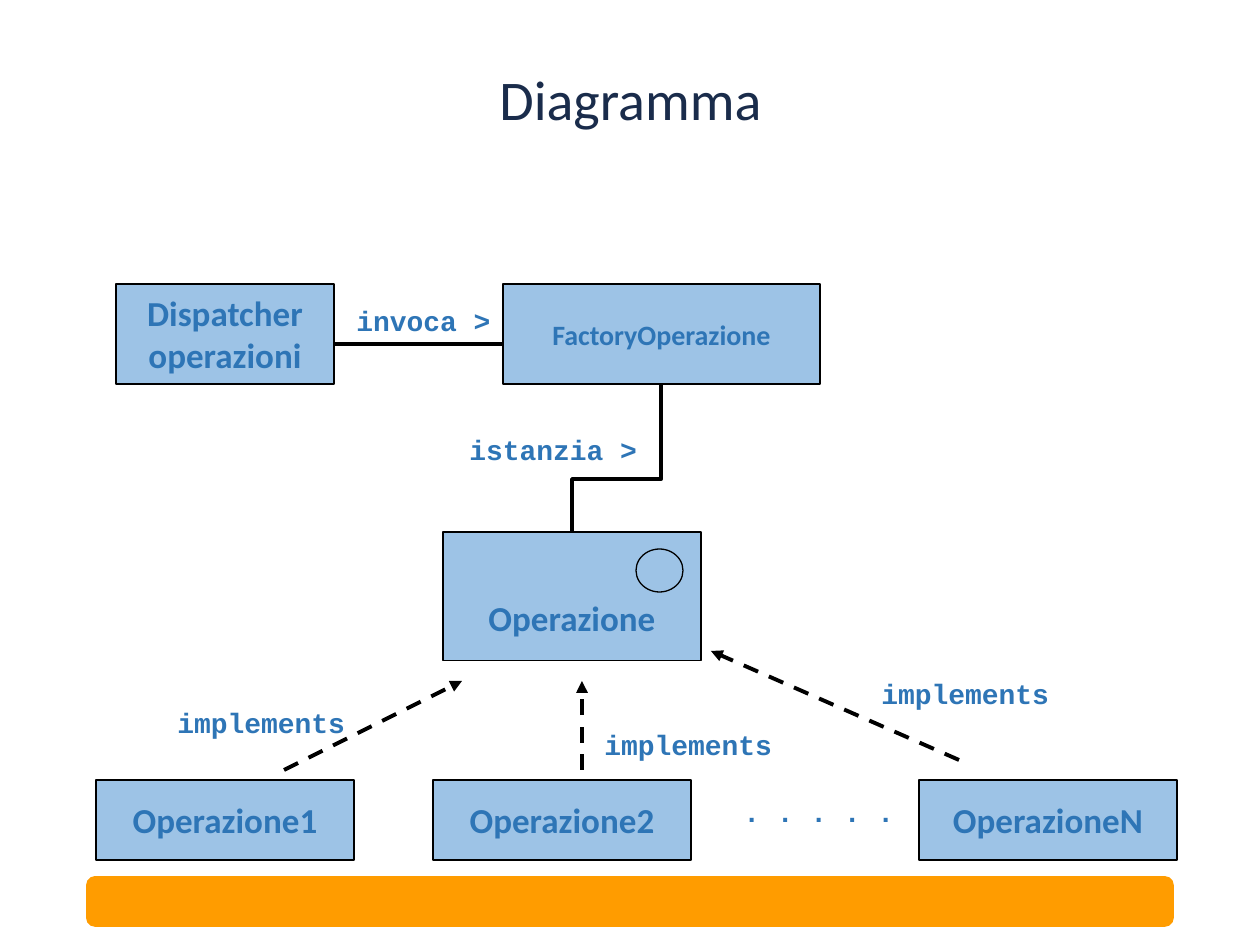
from lxml import etree
from pptx import Presentation
from pptx import util as u
from pptx.dml.color import RGBColor
from pptx.enum import dml, shapes, text
from pptx.oxml.ns import qn

SCALE = 914400 / 126
NAVY = RGBColor(0x1A, 0x2C, 0x4B)
BLUE = RGBColor(0x2E, 0x75, 0xB6)
LIGHT_BLUE = RGBColor(0x9D, 0xC3, 0xE6)
ORANGE = RGBColor(0xFF, 0x9C, 0x00)
BLACK = RGBColor(0, 0, 0)

TITLE = ("Diagramma", (386, 15, 489, 175))
FOOTER_BAR = (87, 877, 1086, 49)
INTERFACE_CIRCLE = (636, 549, 47, 43)
BOXES = [
    (["Dispatcher", "operazioni"], (116, 284, 218, 100), 20, 6),
    (["FactoryOperazione"], (503, 284, 317, 100), 16, 6),
    (["Operazione"], (443, 532, 258, 129), 20, 49),
]
IMPLEMENTATIONS = [("Operazione1", 96), ("Operazione2", 433), ("OperazioneN", 919)]
BOXES += [([name], (left, 780, 258, 80), 20, 6) for name, left in IMPLEMENTATIONS]
LABELS = [
    (". . . . .", 731, 788, 178),
    ("implements", 165, 699, 194),
    ("implements", 592, 721, 194),
    ("implements", 869, 670, 194),
    ("invoca >", 344, 297, 160),
    ("istanzia >", 457, 426, 194),
]
LABEL_HEIGHT = 47
IMPLEMENTS_ARROWS = [(284, 770, 462, 681), (582, 770, 582, 681), (959, 760, 711, 651)]
INVOKES_LINE = (334, 344, 503, 344)
CREATES_LINE = (661, 384, 572, 532)
CREATES_BEND = 64300


def emu(*pixels):
    return [u.Emu(round(pixel * SCALE)) for pixel in pixels]


def apply(target, values):
    for name, value in values.items():
        setattr(target, name, value)


def write(frame, lines, font, size, color, bold, align, **frame_values):
    apply(frame, {"vertical_anchor": text.MSO_ANCHOR.MIDDLE, **frame_values})
    for index, line in enumerate(lines):
        paragraph = frame.paragraphs[0] if index == 0 else frame.add_paragraph()
        paragraph.alignment = align
        run = paragraph.add_run()
        run.text = line
        apply(run.font, {"name": font, "size": u.Pt(size), "bold": bold})
        run.font.color.rgb = color


def add_block(kind, place, fill, line, width):
    shape = slide.shapes.add_shape(kind, *emu(*place))
    shape.shadow.inherit = False
    shape.fill.solid()
    shape.fill.fore_color.rgb = fill
    shape.line.color.rgb = line
    shape.line.width = u.Pt(width)
    return shape


def add_line(kind, ends):
    connector = slide.shapes.add_connector(kind, *emu(*ends))
    connector.line.color.rgb = BLACK
    connector.line.width = u.Pt(2.25)
    etree.SubElement(connector._element.spPr, qn("a:effectLst"))
    return connector


def add_arrow(ends):
    connector = add_line(shapes.MSO_CONNECTOR.STRAIGHT, ends)
    connector.line.dash_style = dml.MSO_LINE.DASH
    line = connector._element.spPr.find(qn("a:ln"))
    etree.SubElement(line, qn("a:tailEnd"), type="triangle")


def add_vertical_elbow(ends, bend):
    x1, y1, x2, y2 = ends
    center_x, center_y = (x1 + x2) / 2, (y1 + y2) / 2
    half_run, half_shift = (y2 - y1) / 2, (x1 - x2) / 2
    connector = add_line(shapes.MSO_CONNECTOR.ELBOW, (
        center_x - half_run, center_y - half_shift,
        center_x + half_run, center_y + half_shift))
    properties = connector._element.spPr
    properties.find(qn("a:xfrm")).set("rot", "5400000")
    geometry = properties.find(qn("a:prstGeom"))
    adjustments = geometry.find(qn("a:avLst"))
    if adjustments is None:
        adjustments = etree.SubElement(geometry, qn("a:avLst"))
    etree.SubElement(adjustments, qn("a:gd"), name="adj1", fmla=f"val {bend}")


presentation = Presentation()
apply(presentation, {"slide_width": u.Inches(10), "slide_height": u.Inches(7.5)})
slide = presentation.slides.add_slide(presentation.slide_layouts[5])

add_block(shapes.MSO_SHAPE.ROUNDED_RECTANGLE, FOOTER_BAR, ORANGE, ORANGE, 1)

title = slide.shapes.title
apply(title, dict(zip(("left", "top", "width", "height"), emu(*TITLE[1]))))
write(title.text_frame, [TITLE[0]], "Calibri", 32, NAVY, False, text.PP_ALIGN.CENTER)
title.text_frame.paragraphs[0].line_spacing = 0.9

for lines, place, size, top_margin in BOXES:
    box = add_block(shapes.MSO_SHAPE.RECTANGLE, place, LIGHT_BLUE, BLACK, 0.75)
    write(box.text_frame, lines, "Calibri", size, BLUE, True, text.PP_ALIGN.CENTER,
          word_wrap=False, margin_top=emu(top_margin)[0])
add_block(shapes.MSO_SHAPE.OVAL, INTERFACE_CIRCLE, LIGHT_BLUE, BLACK, 0.75)

for ends in IMPLEMENTS_ARROWS:
    add_arrow(ends)
add_line(shapes.MSO_CONNECTOR.STRAIGHT, INVOKES_LINE)
add_vertical_elbow(CREATES_LINE, CREATES_BEND)

for words, left, top, width in LABELS:
    label = slide.shapes.add_textbox(*emu(left, top, width, LABEL_HEIGHT))
    write(label.text_frame, [words], "Courier New", 16, BLUE, True, text.PP_ALIGN.LEFT,
          word_wrap=False, vertical_anchor=text.MSO_ANCHOR.TOP,
          auto_size=text.MSO_AUTO_SIZE.SHAPE_TO_FIT_TEXT)

presentation.save("out.pptx")
